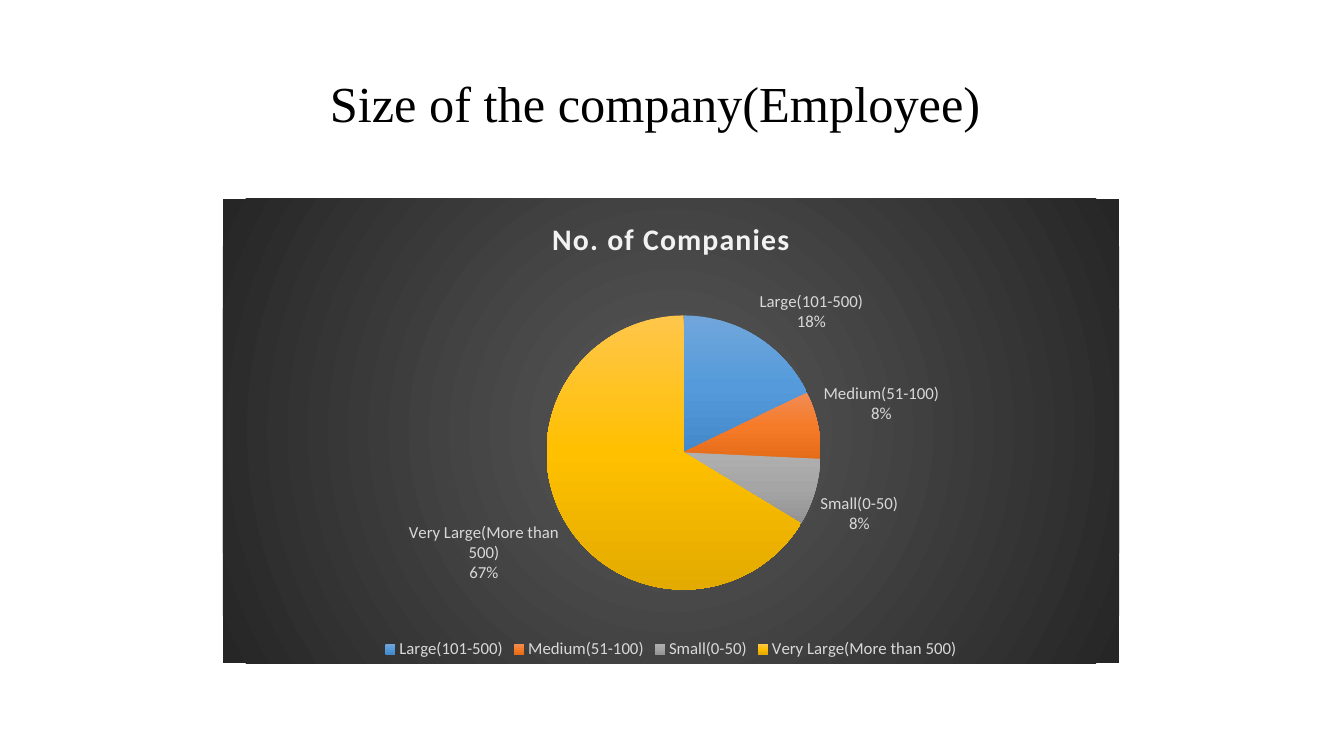
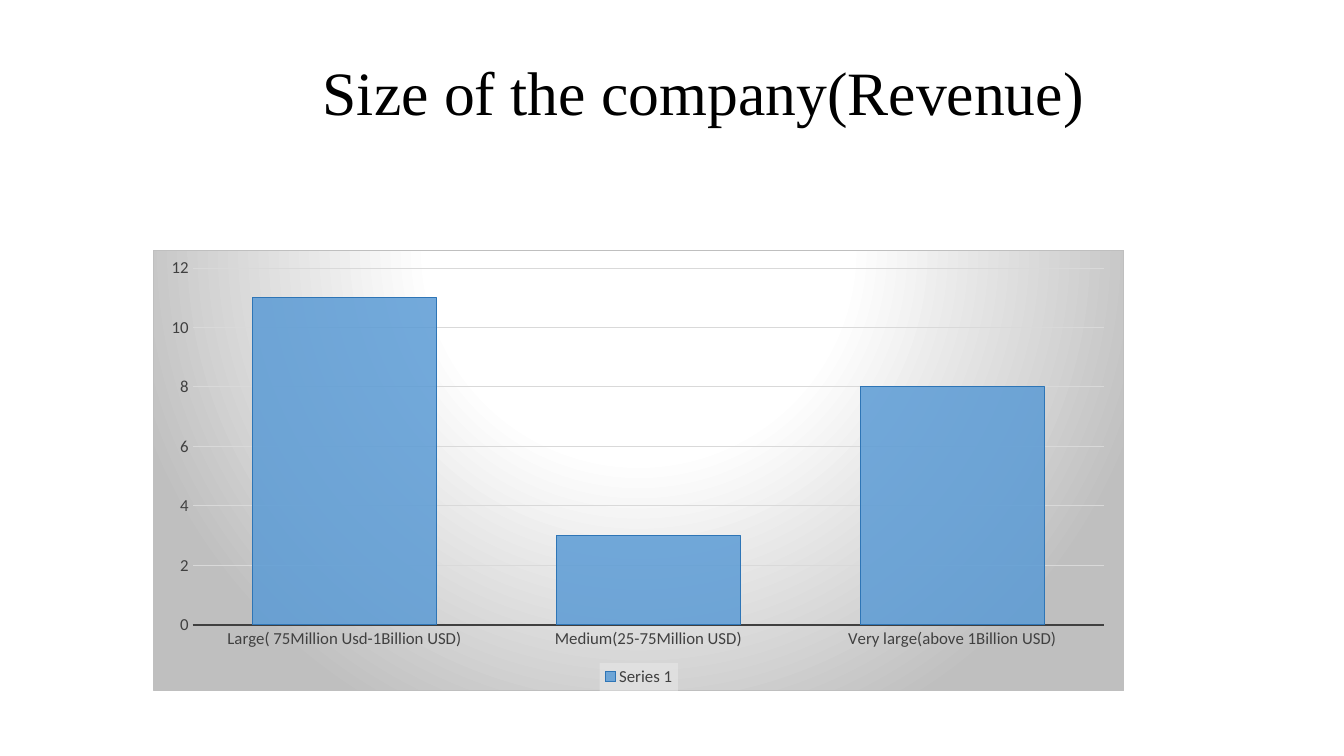
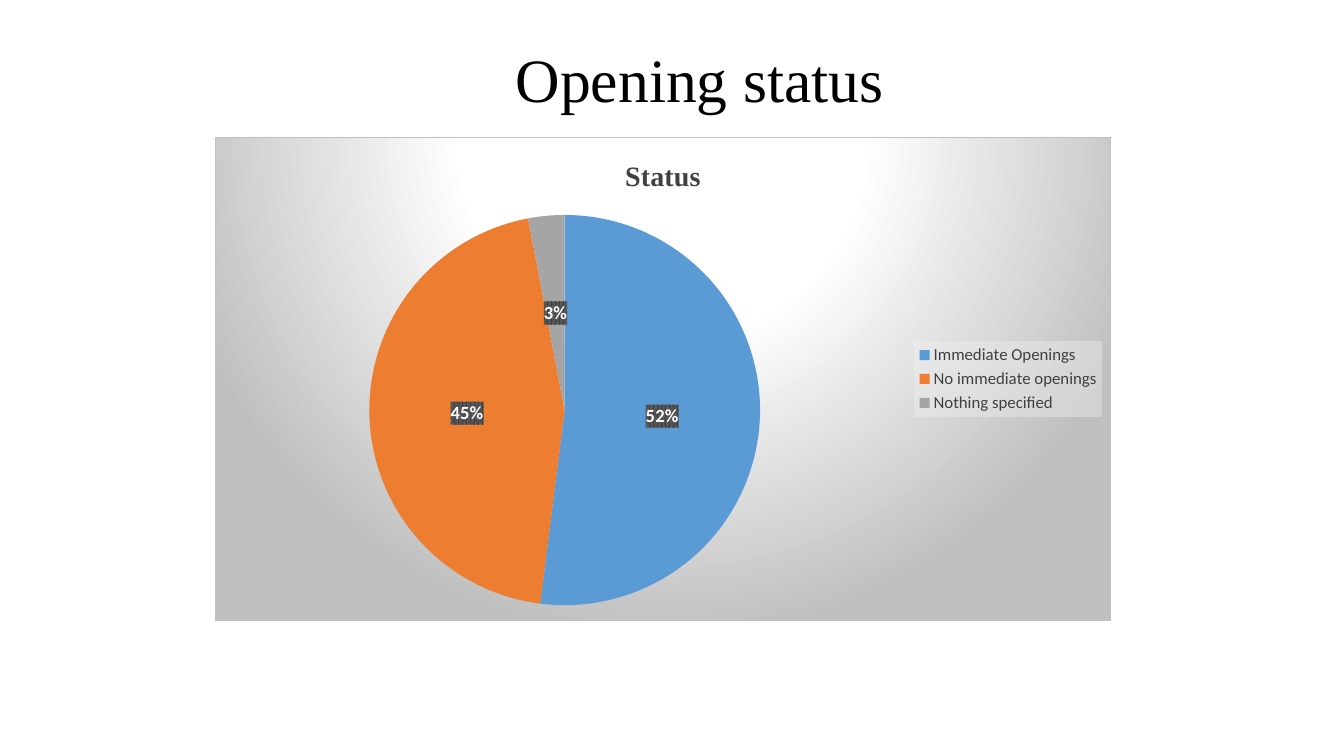
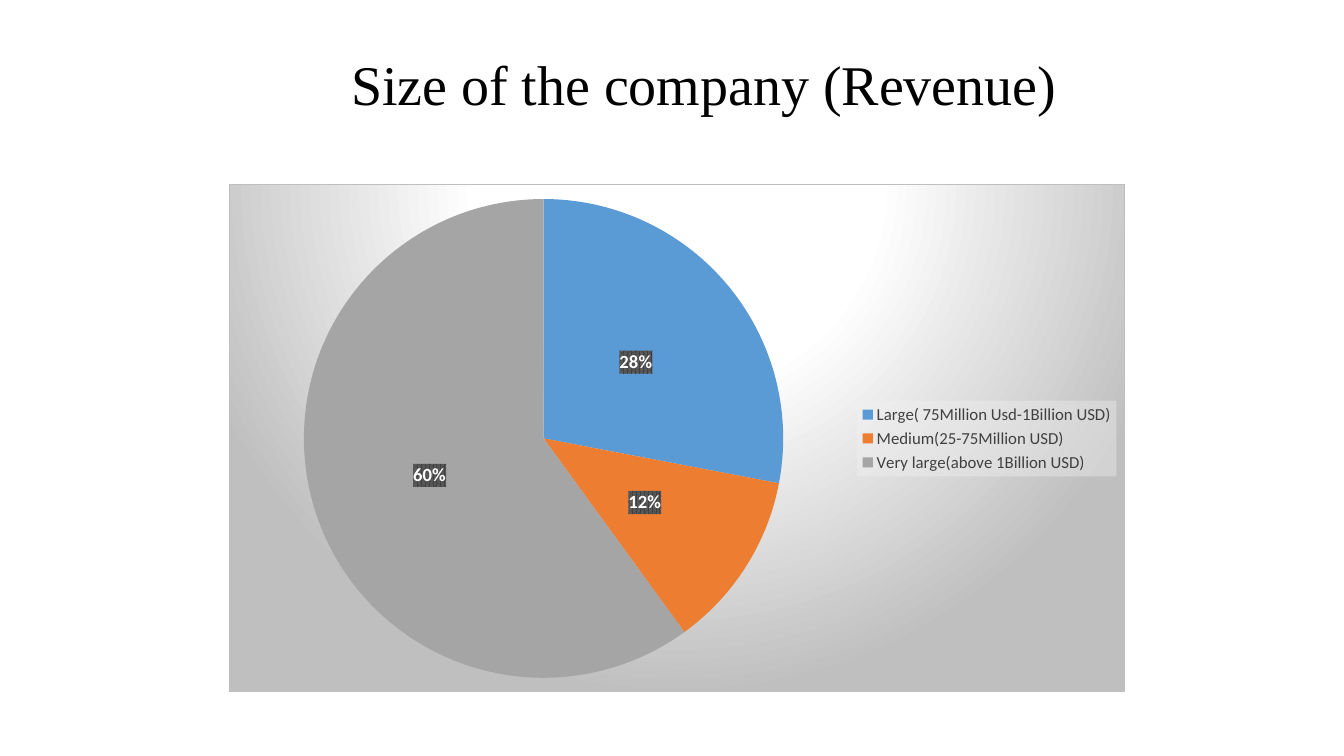
"""Build four slides of company survey charts."""
from lxml.etree import SubElement
from pptx import Presentation
from pptx.chart.data import CategoryChartData
from pptx.dml.color import RGBColor
from pptx.enum.chart import XL_CHART_TYPE, XL_LABEL_POSITION, XL_LEGEND_POSITION, XL_TICK_MARK
from pptx.enum.text import MSO_ANCHOR, PP_ALIGN
from pptx.oxml import parse_xml
from pptx.oxml.ns import nsdecls, qn
from pptx.util import Inches, Pt

BLACK = RGBColor(0x00, 0x00, 0x00)
WHITE = RGBColor(0xFF, 0xFF, 0xFF)
INK = RGBColor(0x40, 0x40, 0x40)
CHARCOAL = RGBColor(0x59, 0x59, 0x59)
NIGHT = RGBColor(0x26, 0x26, 0x26)
SILVER = RGBColor(0xBF, 0xBF, 0xBF)
PALE = RGBColor(0xD9, 0xD9, 0xD9)
MIST = RGBColor(0xF2, 0xF2, 0xF2)
BLUE = RGBColor(0x5B, 0x9B, 0xD5)
DARK_BLUE = RGBColor(0x2E, 0x75, 0xB6)
ORANGE = RGBColor(0xED, 0x7D, 0x31)
GRAY = RGBColor(0xA5, 0xA5, 0xA5)
GLOSSY = [
    [RGBColor(0x71, 0xA6, 0xDB), RGBColor(0x55, 0x9B, 0xDB), RGBColor(0x44, 0x8A, 0xCA)],
    [RGBColor(0xF1, 0x8C, 0x57), RGBColor(0xF6, 0x7B, 0x28), RGBColor(0xE5, 0x6C, 0x19)],
    [RGBColor(0xAF, 0xAF, 0xAF), RGBColor(0xA5, 0xA5, 0xA5), RGBColor(0x93, 0x93, 0x93)],
    [RGBColor(0xFF, 0xC6, 0x4B), RGBColor(0xFF, 0xC0, 0x00), RGBColor(0xE3, 0xAB, 0x00)],
]
SERIF = "Times New Roman"
SANS = "Calibri"
REVENUE_BANDS = ["Large( 75Million Usd-1Billion USD)", "Medium(25-75Million USD)",
                 "Very large(above 1Billion USD)"]


def color_xml(color, alpha=100):
    return f'<a:srgbClr val="{color}"><a:alpha val="{alpha * 1000}"/></a:srgbClr>'


def gradient_xml(stops, direction):
    gs = "".join(f'<a:gs pos="{pos * 1000}">{color_xml(c)}</a:gs>' for pos, c in stops)
    return f'<a:gradFill {nsdecls("a")} rotWithShape="1"><a:gsLst>{gs}</a:gsLst>{direction}</a:gradFill>'


def circle_xml(stops, top):
    return gradient_xml(stops, f'<a:path path="circle"><a:fillToRect l="50000" t="{top * 1000}" '
                               f'r="50000" b="{(100 - top) * 1000}"/></a:path>')


NO_LINE = "<a:ln><a:noFill/></a:ln>"
DARK_PANEL = circle_xml([(0, CHARCOAL), (100, NIGHT)], 50) + NO_LINE
LIGHT_PANEL = (circle_xml([(0, WHITE), (39, WHITE), (100, SILVER)], -80)
               + f'<a:ln w="9525"><a:solidFill>{color_xml(SILVER)}</a:solidFill></a:ln>')
LEGEND_FILL = f"<a:solidFill>{color_xml(MIST, 39)}</a:solidFill>"
LABEL_FILL = (f'<a:pattFill prst="pct75"><a:fgClr>{color_xml(INK)}</a:fgClr>'
              f"<a:bgClr>{color_xml(CHARCOAL)}</a:bgClr></a:pattFill>")


def set_font(font, size, color, bold=False, name=SANS):
    font.size, font.bold, font.name = Pt(size), bold, name
    font.color.rgb = color


def shade(parent, content):
    xml = f'<c:spPr {nsdecls("c", "a")}>{content}</c:spPr>'
    parent.find(qn("c:txPr")).addprevious(parse_xml(xml))


class Deck:
    """Holds the shared style and the current slide."""

    def __init__(self):
        self.prs = Presentation()
        self.prs.slide_width, self.prs.slide_height = Inches(13.33), Inches(7.5)

    def slide(self, title, size, left, top, height):
        self.s = self.prs.slides.add_slide(self.prs.slide_layouts[6])
        box = self.s.shapes.add_textbox(Inches(left), Inches(top), Inches(11.5), Inches(height))
        tf = box.text_frame
        tf.word_wrap = True
        tf.vertical_anchor = MSO_ANCHOR.MIDDLE
        p = tf.paragraphs[0]
        p.text = title
        p.alignment = PP_ALIGN.CENTER
        p.line_spacing = 0.9
        set_font(p.font, size, BLACK, name=SERIF)

    def chart(self, kind, at, name, cats, vals, plot_at, panel=LIGHT_PANEL):
        data = CategoryChartData()
        data.categories = cats
        data.add_series(name, vals)
        chart = self.s.shapes.add_chart(kind, *map(Inches, at), data).chart
        set_font(chart.font, 10, BLACK)
        chart.has_title = False
        shade(chart.element, panel)
        area = chart.element.find(".//" + qn("c:plotArea"))
        for old in area.findall(qn("c:layout")):
            area.remove(old)
        parts = {"layoutTarget": "inner", "xMode": "edge", "yMode": "edge"}
        parts.update(zip("xywh", plot_at))
        inner = "".join(f'<c:{tag} val="{val}"/>' for tag, val in parts.items())
        area.insert(0, parse_xml(f'<c:layout {nsdecls("c")}><c:manualLayout>{inner}</c:manualLayout></c:layout>'))
        return chart

    def legend(self, chart, position, color=INK, fill=LEGEND_FILL):
        chart.has_legend = True
        chart.legend.position = position
        chart.legend.include_in_layout = False
        set_font(chart.legend.font, 12, color)
        if fill:
            shade(chart.element.find(".//" + qn("c:legend")), fill)

    def chart_title(self, chart, text, size, color, name=SANS, spacing=0):
        chart.has_title = True
        chart.chart_title.include_in_layout = False
        p = chart.chart_title.text_frame.paragraphs[0]
        r = p.add_run()
        r.text = text
        set_font(r.font, size, color, True, name)
        chart.element.find(".//" + qn("c:title")).find(".//" + qn("a:rPr")).set("spc", str(spacing))

    def pie(self, at, name, cats, vals, center, radius, panel=LIGHT_PANEL):
        width, height = at[2:]
        plot_at = [round(v, 4) for v in ((center[0] - radius) / width, (center[1] - radius) / height,
                                         2 * radius / width, 2 * radius / height)]
        chart = self.chart(XL_CHART_TYPE.PIE, at, name, cats, vals, plot_at, panel)
        chart.plots[0].vary_by_categories = True
        return chart

    def slices(self, chart, colors):
        for i, color in enumerate(colors):
            fmt = chart.plots[0].series[0].points[i].format
            fmt.fill.solid()
            fmt.fill.fore_color.rgb = color
            fmt.line.fill.background()

    def glossy_slices(self, chart, ramps):
        self.slices(chart, [ramp[1] for ramp in ramps])
        for dpt, ramp in zip(chart.element.iter(qn("c:dPt")), ramps):
            solid = dpt.find(".//" + qn("a:solidFill"))
            xml = gradient_xml(zip((0, 50, 100), ramp), '<a:lin ang="5400000" scaled="0"/>')
            solid.getparent().replace(solid, parse_xml(xml))

    def labels(self, chart, position, size, color, bold=False, category=False, fill=None):
        labels = chart.plots[0].series[0].data_labels
        labels.show_value = True
        labels.show_category_name = category
        labels.number_format = '0"%"'
        labels.number_format_is_linked = False
        labels.position = position
        set_font(labels.font, size, color, bold)
        element = chart.element.find(".//" + qn("c:dLbls"))
        if fill:
            shade(element, fill)
        if category:
            separator = parse_xml(f'<c:separator {nsdecls("c")}>\n</c:separator>')
            element.find(qn("c:showBubbleSize")).addnext(separator)

    def share_pie(self, at, cats, vals, center, radius):
        chart = self.pie(at, "Series 1", cats, vals, center, radius)
        self.slices(chart, [BLUE, ORANGE, GRAY])
        self.labels(chart, XL_LABEL_POSITION.CENTER, 13.3, WHITE, bold=True, fill=LABEL_FILL)
        self.legend(chart, XL_LEGEND_POSITION.RIGHT)
        return chart

    def columns(self, at, cats, vals, plot_at):
        chart = self.chart(XL_CHART_TYPE.COLUMN_CLUSTERED, at, "Series 1", cats, vals, plot_at)
        plot = chart.plots[0]
        plot.vary_by_categories = False
        plot.gap_width = 65
        fmt = plot.series[0].format
        fmt.fill.solid()
        fmt.fill.fore_color.rgb = BLUE
        fill = chart.element.find(".//" + qn("c:ser")).find(".//" + qn("a:srgbClr"))
        SubElement(fill, qn("a:alpha")).set("val", "85000")
        fmt.line.color.rgb = DARK_BLUE
        fmt.line.width = Pt(0.75)
        for axis in (chart.category_axis, chart.value_axis):
            axis.major_tick_mark = axis.minor_tick_mark = XL_TICK_MARK.NONE
            set_font(axis.tick_labels.font, 12, INK)
        chart.category_axis.format.line.color.rgb = INK
        chart.category_axis.format.line.width = Pt(1.5)
        axis = chart.value_axis
        axis.minimum_scale, axis.maximum_scale, axis.major_unit = 0, 12, 2
        axis.format.line.fill.background()
        axis.has_major_gridlines = True
        axis.major_gridlines.format.line.color.rgb = PALE
        axis.major_gridlines.format.line.width = Pt(0.75)
        self.legend(chart, XL_LEGEND_POSITION.BOTTOM)


def main():
    deck = Deck()

    deck.slide("Size of the company(Employee)", 36, 0.75, 0.56, 0.98)
    sizes = ["Large(101-500)", "Medium(51-100)", "Small(0-50)", "Very Large(More than 500)"]
    chart = deck.pie((2.21, 1.97, 8.89, 4.61), "No. of Companies", sizes, [18, 8, 8, 67],
                     (4.57, 2.52), 1.36, DARK_PANEL)
    deck.chart_title(chart, "No. of Companies", 21.3, MIST, spacing=100)
    deck.glossy_slices(chart, GLOSSY)
    deck.labels(chart, XL_LABEL_POSITION.OUTSIDE_END, 12, PALE, category=True)
    deck.legend(chart, XL_LEGEND_POSITION.BOTTOM, PALE, None)

    deck.slide("Size of the company(Revenue)", 44, 1.23, 0.55, 0.8)
    deck.columns((1.52, 2.48, 9.63, 4.38), REVENUE_BANDS, [11, 3, 8], (0.04, 0.04, 0.94, 0.81))

    deck.slide("Opening status", 44, 1.19, 0.37, 0.89)
    statuses = ["Immediate Openings", "No immediate openings", "Nothing specified"]
    chart = deck.share_pie((2.13, 1.36, 8.89, 4.8), statuses, [52, 45, 3], (3.47, 2.71), 1.94)
    deck.chart_title(chart, "Status", 20, INK, SERIF)

    deck.slide("Size of the company (Revenue)", 40, 1.23, 0.48, 0.78)
    deck.share_pie((2.27, 1.83, 8.89, 5.04), REVENUE_BANDS, [28, 12, 60], (3.12, 2.52), 2.38)

    deck.prs.save("out.pptx")


if __name__ == "__main__":
    main()
